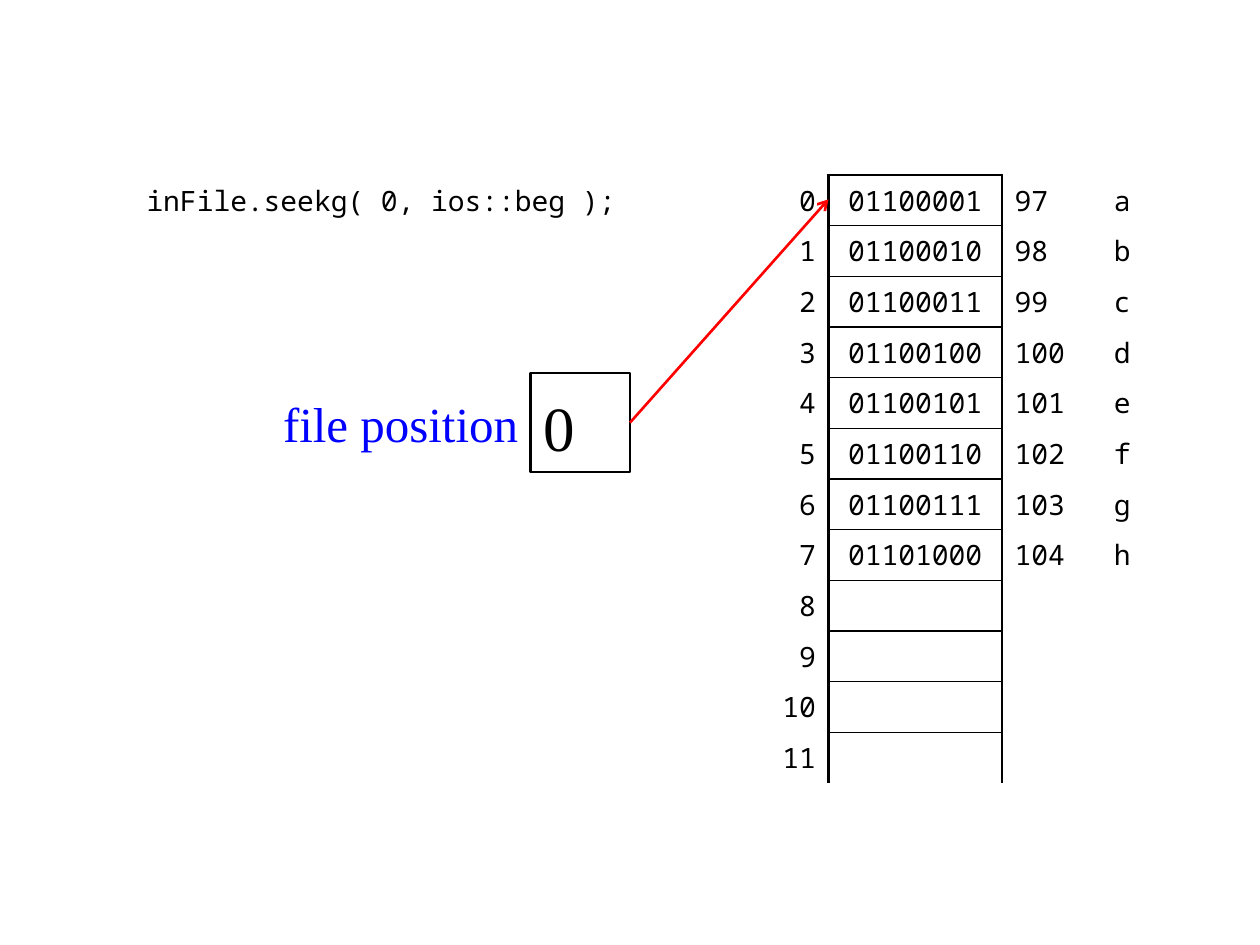
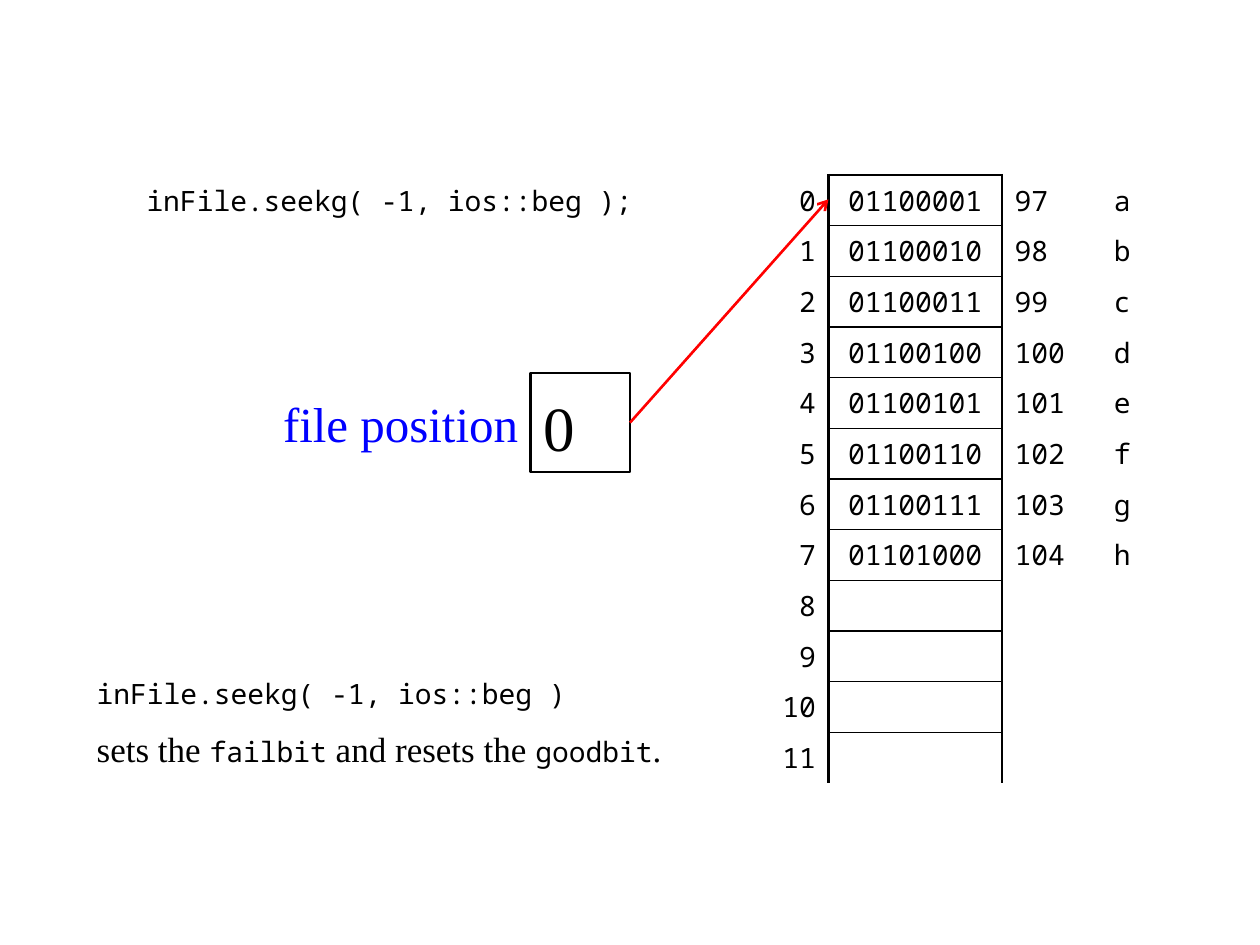
from lxml import etree
from pptx import Presentation
from pptx.dml.color import RGBColor
from pptx.enum.shapes import MSO_CONNECTOR, MSO_SHAPE
from pptx.enum.text import MSO_ANCHOR, MSO_AUTO_SIZE, PP_ALIGN
from pptx.oxml.ns import qn
from pptx.util import Cm, Pt

LEFT, CENTER, RIGHT = PP_ALIGN.LEFT, PP_ALIGN.CENTER, PP_ALIGN.RIGHT
MIDDLE, TOP = MSO_ANCHOR.MIDDLE, MSO_ANCHOR.TOP
NO_AUTOFIT = MSO_AUTO_SIZE.NONE
RECTANGLE = MSO_SHAPE.RECTANGLE
STRAIGHT = MSO_CONNECTOR.STRAIGHT

BLACK, WHITE, BLUE, RED = "000000", "FFFFFF", "0000FF", "FF0000"
CODE, PROSE = ("Noto Sans Mono", 16), ("Times New Roman", 20)
LABEL, POSITION = ("Times New Roman", 28), ("Times New Roman", 36)
THICK, THIN = 1.5, 0.75

TWO_CONTENT_LAYOUT = 3
MEMORY_ROWS = 12
FILE_TEXT = "abcdefgh"
COLUMN_WIDTHS = (1.5, 3.5, 2, 1)
COLUMN_ALIGNMENTS = (RIGHT, CENTER, LEFT, LEFT)
BINARY_COLUMN = 1
BOX_LEFT, BOX_TOP, BOX_SIZE = 10.7, 7.52, 2


def color(hex_string):
    return RGBColor.from_string(hex_string)


def set_font(font, style, hex_string=BLACK):
    font.name, font.size = style[0], Pt(style[1])
    font.color.rgb = color(hex_string)


def set_border(cell, side, width):
    properties = cell._tc.get_or_add_tcPr()
    line = etree.SubElement(properties, qn(f"a:ln{side}"), w=str(Pt(width)))
    if width:
        fill = etree.SubElement(line, qn("a:solidFill"))
        etree.SubElement(fill, qn("a:srgbClr"), val=BLACK)
    else:
        etree.SubElement(line, qn("a:noFill"))


def memory_row(address):
    if address >= len(FILE_TEXT):
        return str(address), "", "", ""
    letter = FILE_TEXT[address]
    return str(address), f"{ord(letter):08b}", str(ord(letter)), letter


def border_widths(row, column):
    if column == BINARY_COLUMN:
        top = THIN if row else THICK
        bottom = THIN if row < MEMORY_ROWS - 1 else 0
        return {"L": THICK, "R": THICK, "T": top, "B": bottom}
    return {"L": THICK if column == BINARY_COLUMN + 1 else 0,
            "R": THICK if column == BINARY_COLUMN - 1 else 0,
            "T": 0, "B": 0}


class SlideBuilder:
    def __init__(self, presentation):
        self.presentation = presentation
        self.slide = None

    def add_slide(self):
        layout = self.presentation.slide_layouts[TWO_CONTENT_LAYOUT]
        self.slide = self.presentation.slides.add_slide(layout)
        title = self.slide.shapes.title
        title._element.getparent().remove(title._element)

    def body(self, index, text, left, top, width, height, style,
             hex_string=BLACK, alignment=LEFT):
        shape = self.slide.placeholders[index]
        shape.left, shape.top = Cm(left), Cm(top)
        shape.width, shape.height = Cm(width), Cm(height)
        frame = shape.text_frame
        frame.auto_size, frame.vertical_anchor = NO_AUTOFIT, MIDDLE
        frame.text = text
        paragraph = frame.paragraphs[0]
        properties = paragraph._p.get_or_add_pPr()
        properties.set("marL", "0")
        properties.set("indent", "0")
        etree.SubElement(properties, qn("a:buNone"))
        paragraph.alignment, paragraph.space_before = alignment, Pt(0)
        set_font(paragraph.font, style, hex_string)

    def memory_table(self, left, top):
        frame = self.slide.shapes.add_table(
            MEMORY_ROWS, len(COLUMN_WIDTHS), Cm(left), Cm(top),
            Cm(sum(COLUMN_WIDTHS)), Cm(MEMORY_ROWS))
        table = frame.table
        table.first_row = table.horz_banding = False
        for column, width in zip(table.columns, COLUMN_WIDTHS):
            column.width = Cm(width)
        for row in range(MEMORY_ROWS):
            for column, text in enumerate(memory_row(row)):
                self.memory_cell(table.cell(row, column), row, column, text)

    def memory_cell(self, cell, row, column, text):
        for side, width in border_widths(row, column).items():
            set_border(cell, side, width)
        cell.fill.solid()
        cell.fill.fore_color.rgb = color(WHITE)
        cell.vertical_anchor = MIDDLE
        cell.text = text
        paragraph = cell.text_frame.paragraphs[0]
        paragraph.alignment = COLUMN_ALIGNMENTS[column]
        set_font(paragraph.font, CODE)

    def position_box(self, text):
        shape = self.slide.shapes.add_shape(
            RECTANGLE, Cm(BOX_LEFT), Cm(BOX_TOP), Cm(BOX_SIZE), Cm(BOX_SIZE))
        shape.shadow.inherit = False
        shape.fill.background()
        shape.line.color.rgb, shape.line.width = color(BLACK), Pt(THICK)
        frame = shape.text_frame
        frame.vertical_anchor = MIDDLE
        frame.margin_top, frame.margin_bottom = Cm(0.2), Cm(0.05)
        frame.text = text
        paragraph = frame.paragraphs[0]
        paragraph.alignment = LEFT
        set_font(paragraph.font, POSITION)

    def arrow(self, start, end):
        connector = self.slide.shapes.add_connector(
            STRAIGHT, *(Cm(length) for length in (*start, *end)))
        line = connector.line
        line.color.rgb, line.width = color(RED), Pt(THICK)
        etree.SubElement(line._get_or_add_ln(), qn("a:tailEnd"), type="arrow")
        etree.SubElement(connector._element.spPr, qn("a:effectLst"))

    def note(self, left, top, width, height, paragraphs):
        box = self.slide.shapes.add_textbox(
            Cm(left), Cm(top), Cm(width), Cm(height))
        frame = box.text_frame
        frame.word_wrap, frame.vertical_anchor = True, TOP
        for number, runs in enumerate(paragraphs):
            paragraph = frame.add_paragraph() if number else frame.paragraphs[0]
            if number:
                paragraph.space_before = Pt(10)
            for text, style in runs:
                run = paragraph.add_run()
                run.text = text
                set_font(run.font, style)

    def seek_slide(self, statement, label_left):
        self.add_slide()
        self.body(1, statement, 2.7, 3.53, 10.5, 1, CODE)
        self.body(2, "file position", label_left, BOX_TOP,
                  BOX_LEFT - label_left, BOX_SIZE, LABEL, BLUE, RIGHT)
        self.memory_table(15.2, 3.53)
        self.position_box("0")
        self.arrow((BOX_LEFT + BOX_SIZE, BOX_TOP + BOX_SIZE / 2), (16.7, 4.02))


def main():
    presentation = Presentation()
    presentation.slide_width, presentation.slide_height = Cm(25.4), Cm(19.05)
    builder = SlideBuilder(presentation)
    builder.seek_slide("inFile.seekg( 0, ios::beg );", 5.2)
    builder.seek_slide("inFile.seekg( -1, ios::beg );", 2.2)
    builder.note(1.7, 13.52, 12, 2.5, [
        [("inFile.seekg( -1, ios::beg )", CODE)],
        [("sets the ", PROSE), ("failbit", CODE), (" and resets the ", PROSE),
         ("goodbit", CODE), (".", PROSE)],
    ])
    presentation.save("out.pptx")


if __name__ == "__main__":
    main()
